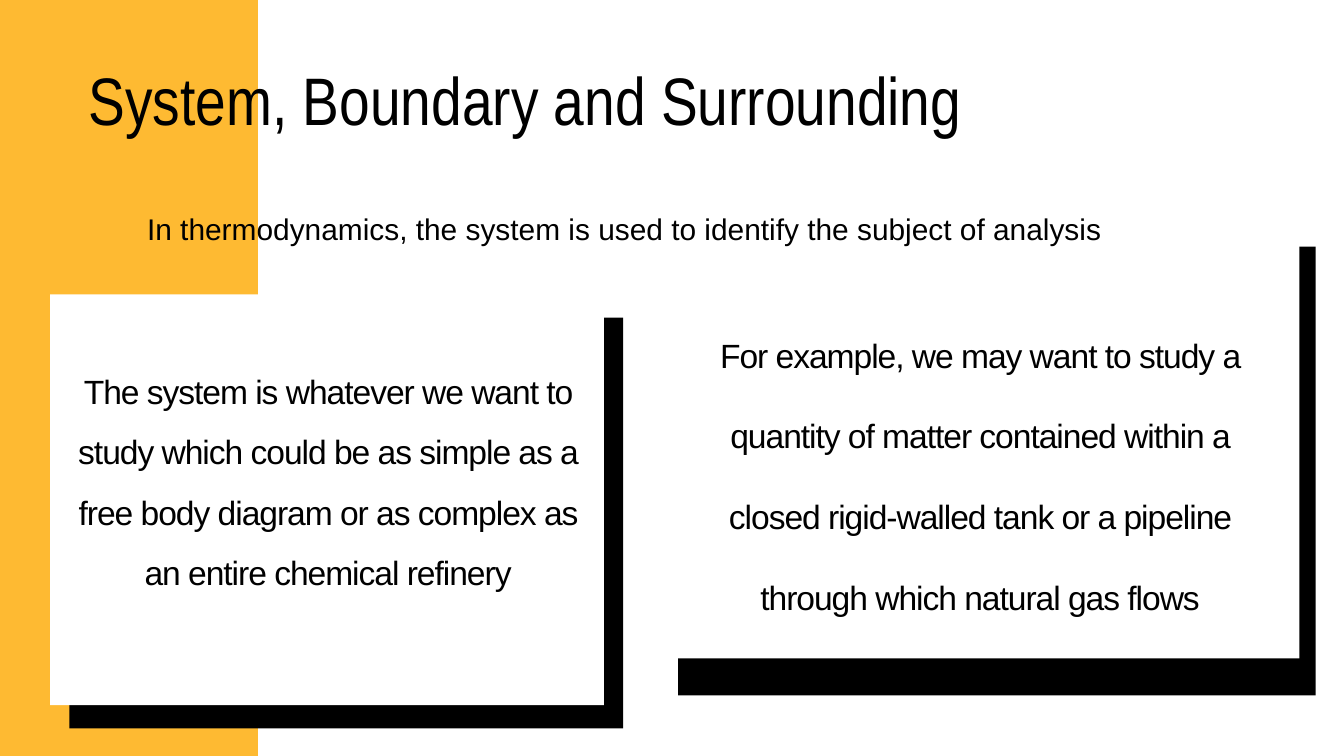
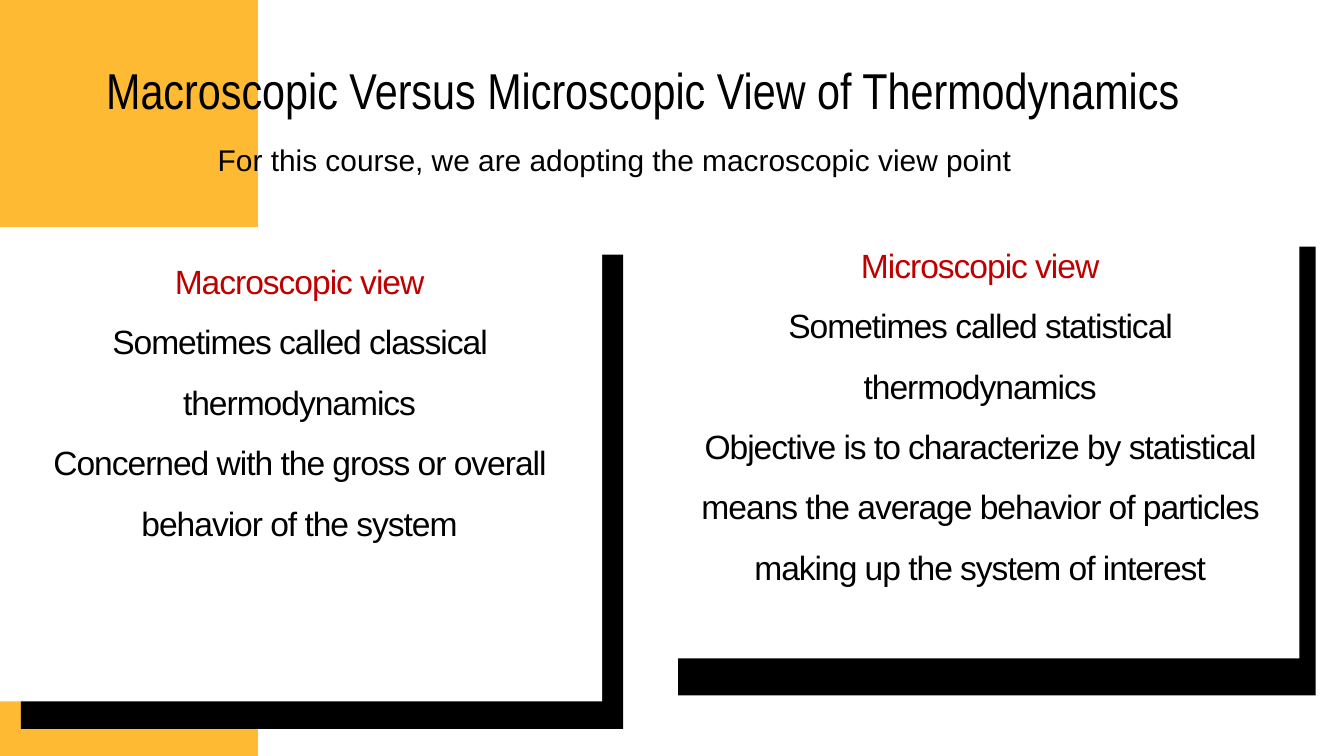
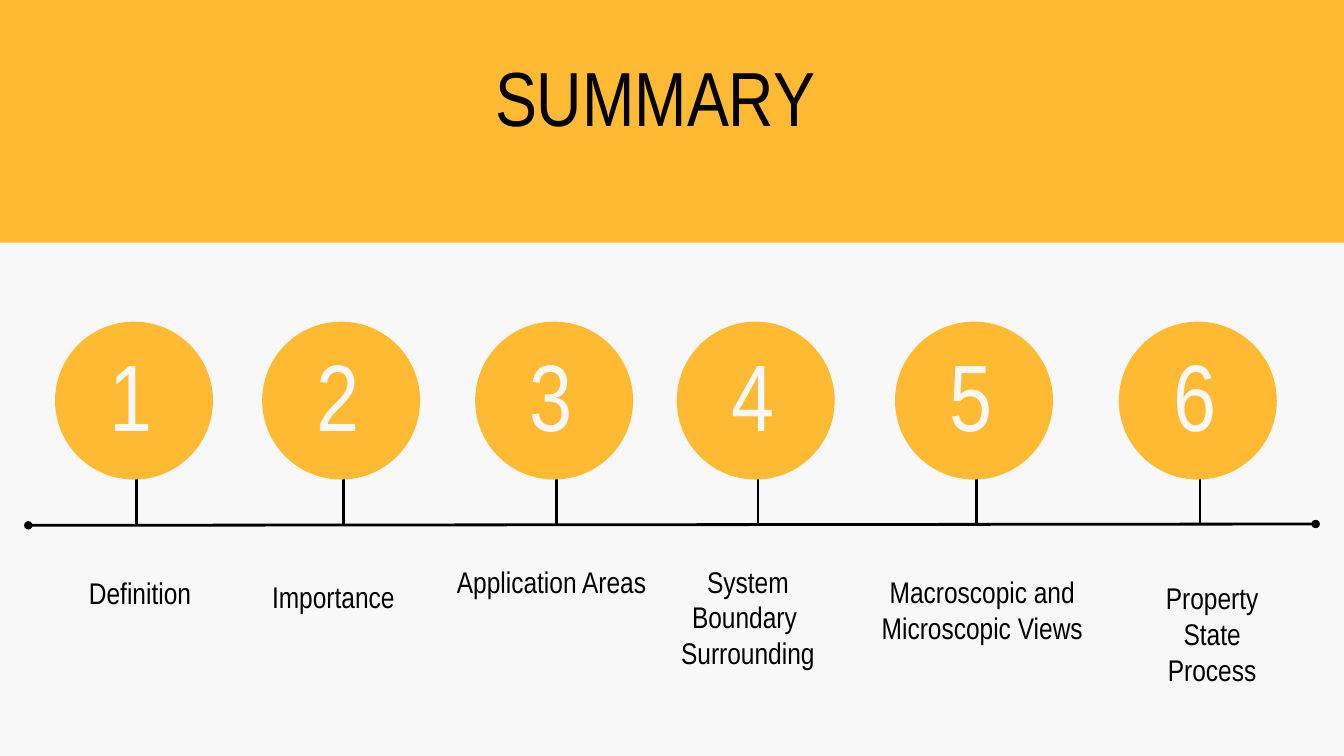
from pptx import Presentation
from pptx.dml.color import RGBColor
from pptx.enum.shapes import MSO_CONNECTOR, MSO_SHAPE
from pptx.enum.text import MSO_ANCHOR, MSO_AUTO_SIZE, PP_ALIGN
from pptx.oxml.ns import qn
from pptx.util import Cm, Pt
from lxml.etree import SubElement

COLORS = {
    "amber": "FEBA32",
    "black": "000000",
    "white": "FFFFFF",
    "pale": "F8F8F8",
    "red": "C00000",
}
HEADING_FONT = "Arial Narrow"
BODY_FONT = "Arial"
SLIDE_WIDTH, SLIDE_HEIGHT = 50.8, 28.58


def add_block(slide, kind, box, color):
    """Add a plain filled shape; box is left, top, width, height in cm."""
    shape = slide.shapes.add_shape(kind, *[Cm(value) for value in box])
    shape.fill.solid()
    shape.fill.fore_color.rgb = RGBColor.from_string(COLORS[color])
    shape.line.fill.background()
    shape.shadow.inherit = False
    return shape


def write_text(shape, box, lines, font, size, color="black",
               align=PP_ALIGN.CENTER, spacing=None, tracking=0):
    """Place a text shape without insets and format its paragraphs."""
    shape.left, shape.top, shape.width, shape.height = [Cm(value) for value in box]
    text_frame = shape.text_frame
    text_frame.word_wrap = True
    text_frame.auto_size = MSO_AUTO_SIZE.NONE
    text_frame.vertical_anchor = MSO_ANCHOR.TOP
    text_frame.margin_left = text_frame.margin_right = 0
    text_frame.margin_top = text_frame.margin_bottom = 0
    text_frame.text = "\n".join(lines)
    for paragraph in text_frame.paragraphs:
        paragraph.alignment = align
        paragraph.line_spacing = spacing
        for run in paragraph.runs:
            run.font.name = font
            run.font.size = Pt(size)
            run.font.color.rgb = RGBColor.from_string(COLORS[color])
            if tracking:
                run._r.get_or_add_rPr().set("spc", str(tracking))
    return text_frame


presentation = Presentation()
presentation.slide_width = Cm(SLIDE_WIDTH)
presentation.slide_height = Cm(SLIDE_HEIGHT)
title_only = presentation.slide_layouts[5]

# Content of the two card slides; each card has a box, a shadow offset and a text box
RIGHT_CARD = (24.38, 7.44, 24.74, 17.45)
RIGHT_SHADOW = (25.63, 9.32, 24.1, 16.97)
card_slides = [
    {
        "title": "System, Boundary and Surrounding",
        "title_box": (3.35, 0.79, 47.22, 4.5),
        "title_size": 72,
        "subtitle": "In thermodynamics, the system is used to identify the subject of analysis",
        "subtitle_box": (5.56, 7.98, 40.13, 1.37),
        "cards": [
            (RIGHT_SHADOW, RIGHT_CARD, (26.09, 11.13, 21.92, 11.84), 2.0, [
                "For example, we may want to study a quantity of matter contained "
                "within a closed rigid-walled tank or a pipeline through which "
                "natural gas flows"]),
            ((2.62, 12.01, 20.93, 15.53), (1.9, 11.13, 20.93, 15.53),
             (2.46, 13.26, 19.89, 11.79), 1.5, [
                "The system is whatever we want to study which could be as simple "
                "as a free body diagram or as complex as an entire chemical refinery"]),
        ],
    },
    {
        "title": "Macroscopic Versus Microscopic View of Thermodynamics",
        "title_box": (4.01, 0.05, 45.52, 4.5),
        "title_size": 54,
        "subtitle": "For this course, we are adopting the macroscopic view point",
        "subtitle_box": (8.23, 5.36, 32.76, 1.37),
        "cards": [
            (RIGHT_SHADOW, RIGHT_CARD, (26.09, 7.72, 21.92, 16.92), 2.0, [
                "Microscopic view",
                "Sometimes called statistical thermodynamics",
                "Objective is to characterize by statistical means the average "
                "behavior of particles making up the system of interest"]),
            ((0.79, 9.63, 22.76, 17.93), (0, 8.59, 22.76, 17.93),
             (0.15, 9.09, 22.35, 14.63), 1.5, [
                "Macroscopic view",
                "Sometimes called classical thermodynamics",
                "Concerned with the gross or overall behavior of the system"]),
        ],
    },
]

for content in card_slides:
    slide = presentation.slides.add_slide(title_only)

    # Side band behind the title
    band = add_block(slide, MSO_SHAPE.RECTANGLE, (0, 0, 9.75, SLIDE_HEIGHT), "amber")
    slide.shapes._spTree.insert(2, band._element)
    write_text(slide.shapes.title, content["title_box"], [content["title"]],
               HEADING_FONT, content["title_size"], align=PP_ALIGN.LEFT,
               spacing=Pt(126.3))

    # Cards with a hard shadow
    for shadow_box, card_box, text_box, first_spacing, lines in content["cards"]:
        add_block(slide, MSO_SHAPE.RECTANGLE, shadow_box, "black")
        add_block(slide, MSO_SHAPE.RECTANGLE, card_box, "white")
        text_frame = write_text(slide.shapes.add_textbox(0, 0, 0, 0), text_box, lines,
                                BODY_FONT, 36, spacing=1.5, tracking=-110)
        first_line = text_frame.paragraphs[0]
        first_line.line_spacing = first_spacing
        if len(lines) > 1:
            first_line.runs[0].font.color.rgb = RGBColor.from_string(COLORS["red"])

    write_text(slide.shapes.add_textbox(0, 0, 0, 0), content["subtitle_box"],
               [content["subtitle"]], BODY_FONT, 32, align=PP_ALIGN.LEFT)

# Summary slide: background, top band and title
slide = presentation.slides.add_slide(title_only)
slide.background.fill.solid()
slide.background.fill.fore_color.rgb = RGBColor.from_string(COLORS["pale"])
band = add_block(slide, MSO_SHAPE.RECTANGLE, (0, 0, SLIDE_WIDTH, 9.17), "amber")
slide.shapes._spTree.insert(2, band._element)
write_text(slide.shapes.title, (0, 2.18, 49.53, 3.2), ["SUMMARY"],
           HEADING_FONT, 82.2, spacing=Pt(90.4))

# Timeline steps: circle left, label left, label top, label width, label lines
steps = [
    (2.08, 1.27, 21.72, 8.05, ["Definition"]),
    (9.91, 7.62, 21.89, 9.96, ["Importance"]),
    (17.96, 16.94, 21.29, 7.82, ["Application Areas"]),
    (25.58, 23.29, 21.29, 9.96, ["System", "Boundary ", "Surrounding"]),
    (33.83, 31.95, 21.69, 10.36, ["Macroscopic and Microscopic Views"]),
    (42.29, 41.91, 21.92, 7.82, ["Property", "State", "Process"]),
]

# Timeline axis first, then one stem per step
lines = [(1.07, 19.86, 49.73, 19.81)]
lines += [(step[0] + 3.07, 17.32, step[0] + 3.07, 19.81) for step in steps]
for number, ends in enumerate(lines):
    connector = slide.shapes.add_connector(MSO_CONNECTOR.STRAIGHT,
                                           *[Cm(value) for value in ends])
    connector.line.color.rgb = RGBColor.from_string(COLORS["black"])
    connector.line.width = Pt(3)
    SubElement(connector._element.spPr, qn("a:effectLst"))
    if number == 0:
        for end in ("a:headEnd", "a:tailEnd"):
            SubElement(connector.line._get_or_add_ln(), qn(end), type="oval")

# Numbered circles and labels
for number, (left, label_left, label_top, label_width, label) in enumerate(steps, 1):
    add_block(slide, MSO_SHAPE.OVAL, (left, 12.16, 5.97, 5.97), "amber")
    write_text(slide.shapes.add_textbox(0, 0, 0, 0), (left, 13.11, 5.74, 4.01),
               [str(number)], HEADING_FONT, 101.1, "pale", spacing=Pt(111.2))
    write_text(slide.shapes.add_textbox(0, 0, 0, 0),
               (label_left, label_top, label_width, 1.37 * len(label)),
               label, HEADING_FONT, 32)

presentation.save("out.pptx")
